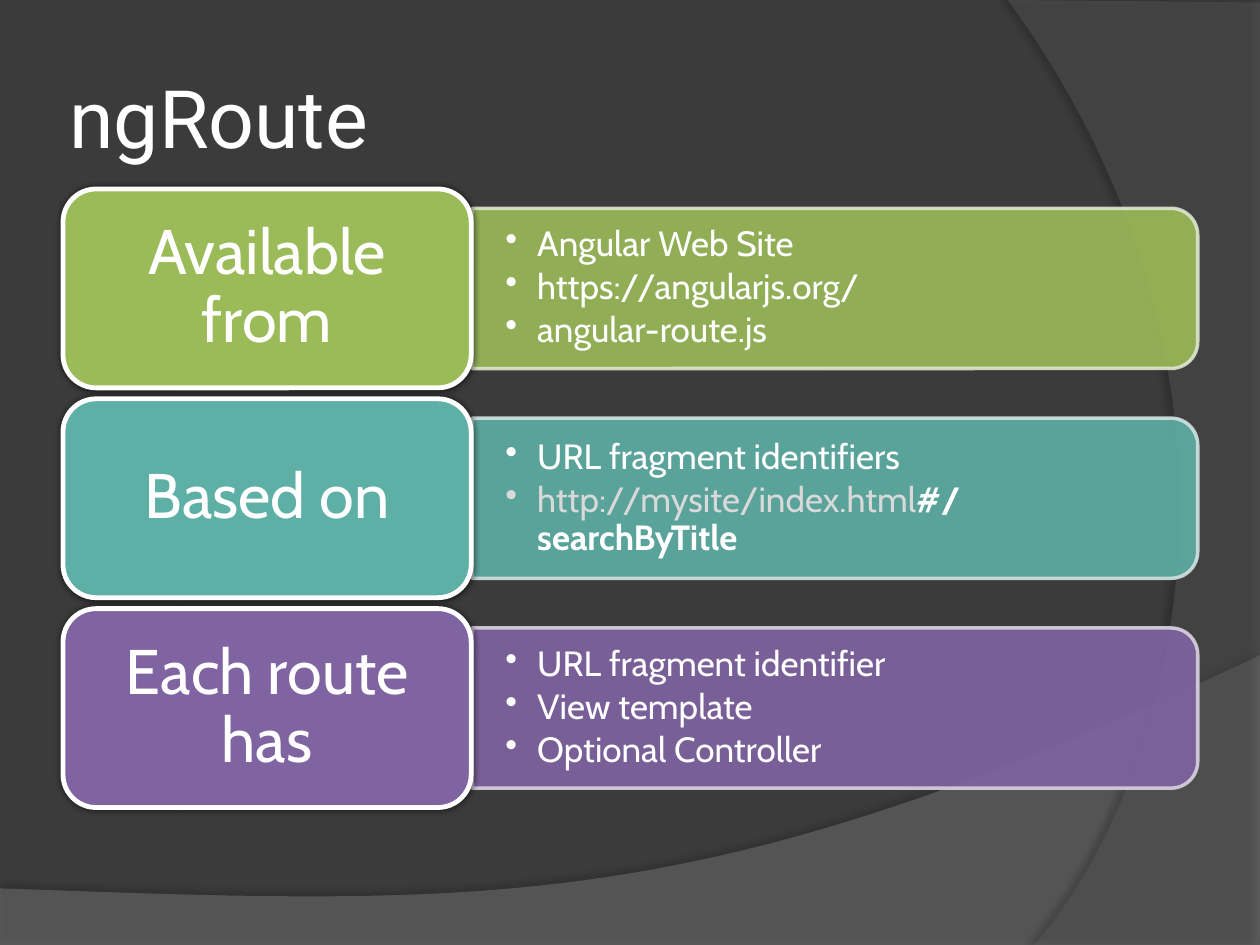
from lxml.etree import SubElement
from pptx import Presentation
from pptx.dml.color import RGBColor
from pptx.enum.shapes import MSO_SHAPE as Shape
from pptx.enum.text import MSO_ANCHOR as Anchor, PP_ALIGN as Align
from pptx.oxml.ns import qn
from pptx.util import Cm, Pt

WHITE = "FFFFFF"
GREY = "D9D9D9"
LABEL_LEFT, LABEL_WIDTH, LABEL_HEIGHT = 1.27, 8.23, 4.01
FIRST_TOP, ROW_PITCH = 3.81, 4.23
PANEL_LENGTH, PANEL_DEPTH = 14.63, 3.23
PANEL_CENTER = 16.83

ROWS = [
    ("Available from", "9BBB59", "DEE7D1", [
        [("Angular Web Site", WHITE, False)],
        [("https://angularjs.org/", WHITE, False)],
        [("angular-route.js", WHITE, False)],
    ]),
    ("Based on", "5EAFA6", "D2E3E2", [
        [("URL fragment identifiers", WHITE, False)],
        [("http://mysite/index.html", GREY, False), ("#/searchByTitle", WHITE, True)],
    ]),
    ("Each route has", "8064A2", "D8D3E0", [
        [("URL fragment identifier", WHITE, False)],
        [("View template", WHITE, False)],
        [("Optional Controller", WHITE, False)],
    ]),
]


def color(value):
    return RGBColor.from_string(value)


def paint(shape, fill, opacity=100, line=None, width=0):
    shape.shadow.inherit = False
    shape.fill.solid()
    shape.fill.fore_color.rgb = color(fill)
    if line:
        shape.line.color.rgb = color(line)
        shape.line.width = Pt(width)
    else:
        shape.line.fill.background()
    if opacity < 100:
        for element in shape._element.spPr.iter(qn("a:srgbClr")):
            SubElement(element, qn("a:alpha"), val=str(opacity * 1000))


def add_shadow(shape, opacity, distance=0, direction=0):
    effects = shape._element.spPr.find(qn("a:effectLst"))
    shadow = SubElement(effects, qn("a:outerShdw"), blurRad=str(Pt(4)),
                        dist=str(Pt(distance)), dir=str(direction * 60000),
                        algn="ctr", rotWithShape="0")
    shadow_color = SubElement(shadow, qn("a:srgbClr"), val="000000")
    SubElement(shadow_color, qn("a:alpha"), val=str(opacity * 1000))


def style_run(run, name, size, font_color, bold=False):
    run.font.name = name
    run.font.size = Pt(size)
    run.font.color.rgb = color(font_color)
    run.font.bold = bold


def set_frame(frame, horizontal, vertical):
    frame.word_wrap = True
    frame.vertical_anchor = Anchor.MIDDLE
    frame.margin_left = frame.margin_right = Cm(horizontal)
    frame.margin_top = frame.margin_bottom = Cm(vertical)


def curve_points(start, control_1, control_2, end, steps=48):
    points = []
    for step in range(1, steps + 1):
        t = step / steps
        weights = ((1 - t) ** 3, 3 * t * (1 - t) ** 2, 3 * t * t * (1 - t), t ** 3)
        corners = (start, control_1, control_2, end)
        points.append(tuple(sum(w * corner[axis] for w, corner in zip(weights, corners))
                            for axis in (0, 1)))
    return points


def add_swoosh(slide, corners, curve, fill, opacity):
    points = corners + curve_points(corners[-1], *curve)
    vertices = [(Cm(x), Cm(y)) for x, y in points]
    builder = slide.shapes.build_freeform(*vertices[0])
    builder.add_line_segments(vertices[1:], close=True)
    shape = builder.convert_to_shape()
    paint(shape, fill, opacity)
    return shape


def add_background(slide):
    slide.background.fill.solid()
    slide.background.fill.fore_color.rgb = color("3B3B3B")
    wave = add_swoosh(slide, [(0, 17.91), (0, 19.08), (25.4, 19.08), (25.4, 13.21)],
                      [(14.2, 18.52), (9.93, 18.26), (0, 17.91)], "7F7F7F", 45)
    add_shadow(wave, 35, 3.5, 270)
    arc = add_swoosh(slide, [(25.4, 0.05), (25.4, 19.05), (20.85, 19.05)],
                     [(23.75, 15.72), (25.86, 7.62), (20.32, 0)], "5E5E5E", 40)
    add_shadow(arc, 45, 4, 180)


def add_title(slide, text):
    frame = slide.shapes.add_textbox(Cm(1.27), Cm(0.76), Cm(23.5), Cm(3.18)).text_frame
    set_frame(frame, 0.13, 0.13)
    frame.text = text
    style_run(frame.paragraphs[0].runs[0], "Roboto", 46, WHITE)


def add_panel(slide, middle, fill, line):
    shape = slide.shapes.add_shape(
        Shape.ROUND_2_SAME_RECTANGLE, Cm(PANEL_CENTER - PANEL_DEPTH / 2),
        Cm(middle - PANEL_LENGTH / 2), Cm(PANEL_DEPTH), Cm(PANEL_LENGTH))
    shape.rotation = 90
    paint(shape, fill, 90, line, 2)


def add_bullets(slide, middle, items):
    height = 2.9
    frame = slide.shapes.add_textbox(Cm(LABEL_LEFT + LABEL_WIDTH), Cm(middle - height / 2),
                                     Cm(14.48), Cm(height)).text_frame
    set_frame(frame, 0.69, 0.36)
    for index, item in enumerate(items):
        paragraph = frame.add_paragraph() if index else frame.paragraphs[0]
        paragraph.line_spacing = 0.9
        paragraph.space_after = Pt(3)
        properties = paragraph._p.get_or_add_pPr()
        properties.set("marL", str(Cm(0.64)))
        properties.set("indent", str(-Cm(0.64)))
        SubElement(properties, qn("a:buChar"), char="•")
        for text, font_color, bold in item:
            run = paragraph.add_run()
            run.text = text
            style_run(run, "Cabin", 20, font_color, bold)


def add_label(slide, top, text, fill):
    shape = slide.shapes.add_shape(Shape.ROUNDED_RECTANGLE, Cm(LABEL_LEFT), Cm(top),
                                   Cm(LABEL_WIDTH), Cm(LABEL_HEIGHT))
    paint(shape, fill, line=WHITE, width=2.75)
    add_shadow(shape, 64)
    frame = shape.text_frame
    set_frame(frame, 0.38, 0.19)
    frame.text = text
    paragraph = frame.paragraphs[0]
    paragraph.alignment = Align.CENTER
    paragraph.line_spacing = 0.9
    paragraph.space_after = Pt(12.6)
    style_run(paragraph.runs[0], "Cabin", 36, WHITE)


def main():
    presentation = Presentation()
    presentation.slide_width = Cm(25.4)
    presentation.slide_height = Cm(19.05)
    slide = presentation.slides.add_slide(presentation.slide_layouts[6])
    add_background(slide)
    add_title(slide, "ngRoute")
    for index, (label, fill, line, items) in enumerate(ROWS):
        top = FIRST_TOP + index * ROW_PITCH
        middle = top + LABEL_HEIGHT / 2
        add_panel(slide, middle, fill, line)
        add_bullets(slide, middle, items)
        add_label(slide, top, label, fill)
    presentation.save("out.pptx")


if __name__ == "__main__":
    main()
